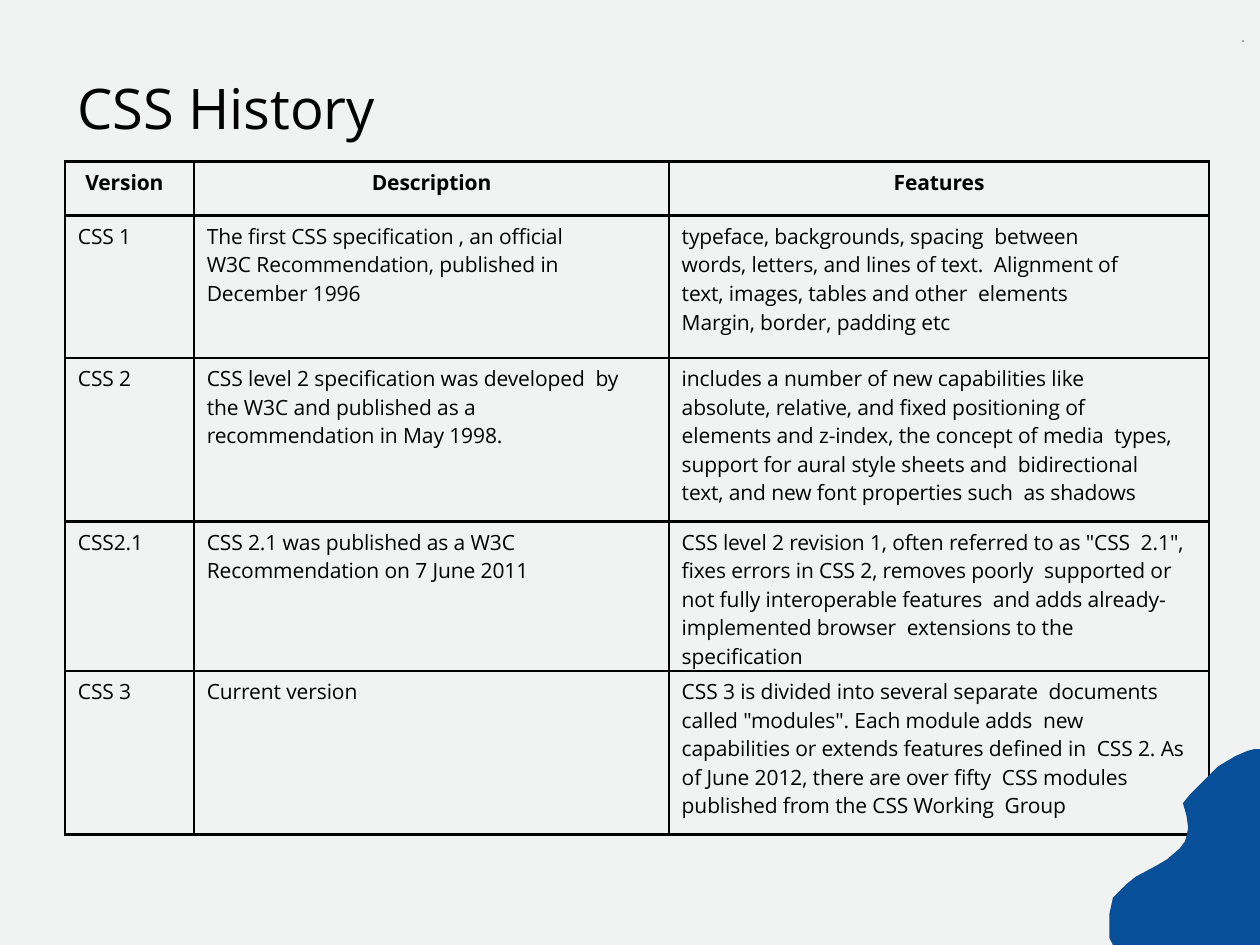
from lxml.etree import SubElement
from pptx import Presentation
from pptx.dml.color import RGBColor
from pptx.enum.text import PP_ALIGN
from pptx.oxml.ns import qn
from pptx.util import Pt

PAPER, INK, BLUE = "F1F2F2", "000000", "084F99"
COLUMN_WIDTHS = (73.7, 271.4, 308.5)
ROW_HEIGHTS = (31, 81.2, 93.6, 79.2, 93.6)
HEADERS = ("Version", "Description", "Features")
VERSIONS = (
    ("CSS 1",
     "The first CSS specification , an official W3C Recommendation, published in December 1996",
     "typeface, backgrounds, spacing  between words, letters, and lines of text.  Alignment of "
     "text, images, tables and other  elements Margin, border, padding etc"),
    ("CSS 2",
     "CSS level 2 specification was developed  by the W3C and published as a "
     "recommendation in May 1998.",
     "includes a number of new capabilities like absolute, relative, and fixed positioning of "
     "elements and z-index, the concept of media  types, support for aural style sheets and  "
     "bidirectional text, and new font properties such  as shadows"),
    ("CSS2.1",
     "CSS 2.1 was published as a W3C Recommendation on 7 June 2011",
     "CSS level 2 revision 1, often referred to as \"CSS  2.1\", fixes errors in CSS 2, removes "
     "poorly  supported or not fully interoperable features  and adds already-implemented "
     "browser  extensions to the specification"),
    ("CSS 3",
     "Current version",
     "CSS 3 is divided into several separate  documents called \"modules\". Each module adds  "
     "new capabilities or extends features defined in  CSS 2. As of June 2012, there are over "
     "fifty  CSS modules published from the CSS Working  Group"),
)
RIGHT_MARGINS = ((0, 43, 47), (0, 22, 18), (0, 22, 8.6), (0, 22, 8.6))
WAVE = (
    (719.3, 427.7), (717, 427.7), (712.8, 429.1), (705.6, 432), (696.2, 438.5), (692, 442),
    (680.4, 454.3), (676.1, 459.4), (678.2, 465.8), (679, 473), (678.2, 478.1), (676.8, 481),
    (673.9, 484.6), (666.7, 491), (662.4, 493.9), (649.4, 501.1), (644.4, 504.7),
    (640.8, 507.6), (636.5, 513.4), (633.6, 522), (633.6, 531.4), (634.3, 535.7),
    (636, 540), (720, 540), (720, 428.4),
)


def color(hex_string):
    """Turn a hex string into a colour."""
    return RGBColor.from_string(hex_string)


def write(text_frame, text, size, font="Open Sans", bold=False, before=0, spacing=-5):
    """Write one formatted paragraph and return it."""
    text_frame.text = text
    paragraph = text_frame.paragraphs[0]
    paragraph.space_before = Pt(before)
    for run in paragraph.runs:
        run.font.size = Pt(size)
        run.font.name = font
        run.font.bold = bold
        run.font.color.rgb = color(INK)
        run.font._element.set("spc", str(spacing))
    return paragraph


def add_text(slide, left, top, width, height, text, size, inset, **style):
    """Add a text box with only a top inset."""
    text_frame = slide.shapes.add_textbox(Pt(left), Pt(top), Pt(width), Pt(height)).text_frame
    text_frame.margin_left = Pt(0.9)
    text_frame.margin_right = text_frame.margin_bottom = Pt(0)
    text_frame.margin_top = Pt(inset)
    write(text_frame, text, size, **style)


def add_borders(cell):
    """Draw a black line on each side of a cell."""
    properties = cell._tc.get_or_add_tcPr()
    for side in ("a:lnL", "a:lnR", "a:lnT", "a:lnB"):
        line = SubElement(properties, qn(side), w=str(Pt(1.5)))
        fill = SubElement(line, qn("a:solidFill"))
        SubElement(fill, qn("a:srgbClr"), val=INK)


def fill_cell(cell, text, left, right, bold=False):
    """Write and style one table cell."""
    add_borders(cell)
    cell.fill.solid()
    cell.fill.fore_color.rgb = color(PAPER)
    cell.margin_left, cell.margin_right = Pt(left), Pt(right)
    cell.margin_top, cell.margin_bottom = Pt(3.6), Pt(0)
    return write(cell.text_frame, text, 12, bold=bold, before=3.5)


def add_history_table(slide):
    """Add the table of CSS versions."""
    frame = slide.shapes.add_table(len(ROW_HEIGHTS), len(COLUMN_WIDTHS), Pt(37.3), Pt(92.2),
                                   Pt(sum(COLUMN_WIDTHS)), Pt(sum(ROW_HEIGHTS)))
    table = frame.table
    for column, width in zip(table.columns, COLUMN_WIDTHS):
        column.width = Pt(width)
    for row, height in zip(table.rows, ROW_HEIGHTS):
        row.height = Pt(height)
    for index, header in enumerate(HEADERS):
        paragraph = fill_cell(table.cell(0, index), header, 0 if index else 11.5, 0, bold=True)
        paragraph.alignment = PP_ALIGN.CENTER if index else PP_ALIGN.LEFT
    for row, (texts, margins) in enumerate(zip(VERSIONS, RIGHT_MARGINS), 1):
        for index, (text, margin) in enumerate(zip(texts, margins)):
            fill_cell(table.cell(row, index), text, 7.2, margin)


def add_wave(slide):
    """Add the blue wave in the lower right corner."""
    builder = slide.shapes.build_freeform(*WAVE[0], scale=Pt(1))
    builder.add_line_segments(WAVE[1:], close=True)
    shape = builder.convert_to_shape()
    shape.shadow.inherit = False
    shape.fill.solid()
    shape.fill.fore_color.rgb = color(BLUE)
    shape.line.fill.background()


def main():
    """Build the slide and save it."""
    presentation = Presentation()
    presentation.slide_width, presentation.slide_height = Pt(720), Pt(540)
    slide = presentation.slides.add_slide(presentation.slide_layouts[6])
    slide.background.fill.solid()
    slide.background.fill.fore_color.rgb = color(PAPER)
    add_history_table(slide)
    add_text(slide, 43.2, 41, 193.7, 40.3, "CSS History", 32, 0.9, before=1.1)
    add_text(slide, 709.2, 21.6, 3.6, 4.3, "R", 1.5, 1.2, font="Calibri", bold=True,
             before=1.3, spacing=20)
    add_wave(slide)
    presentation.save("out.pptx")


main()
